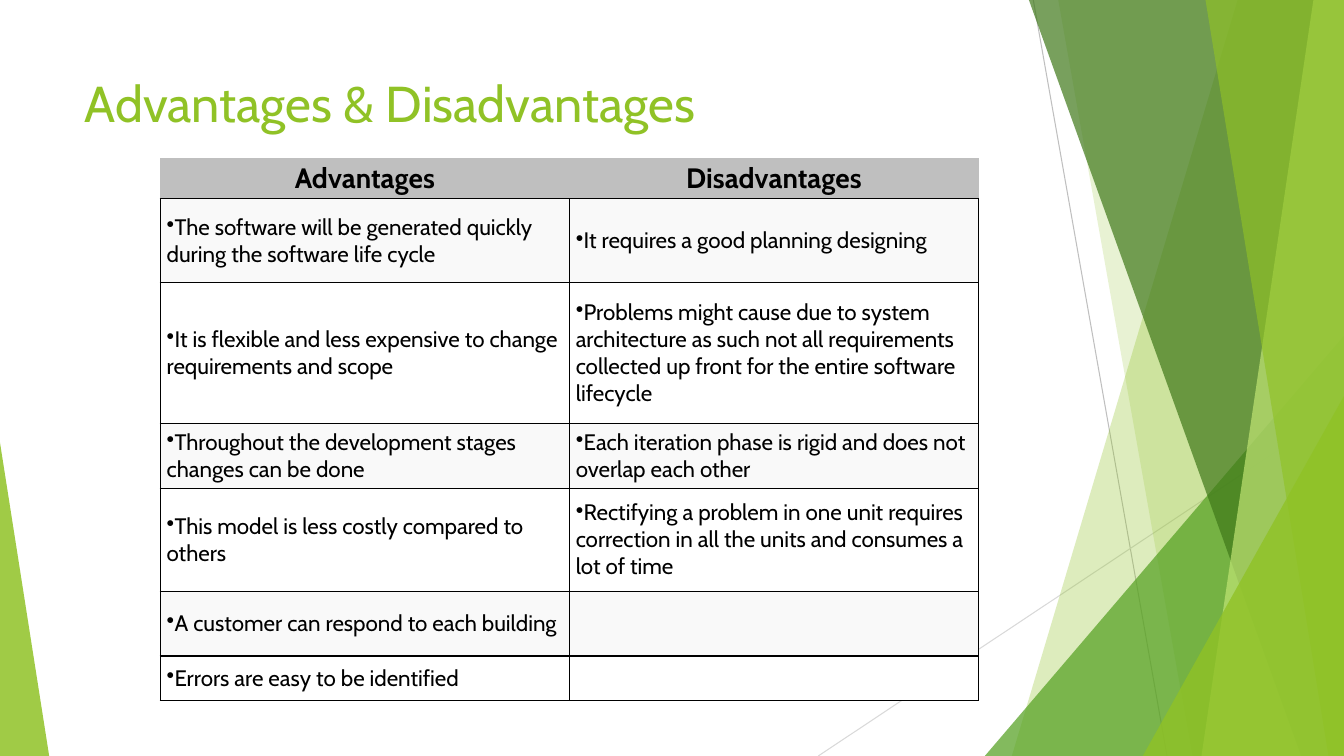
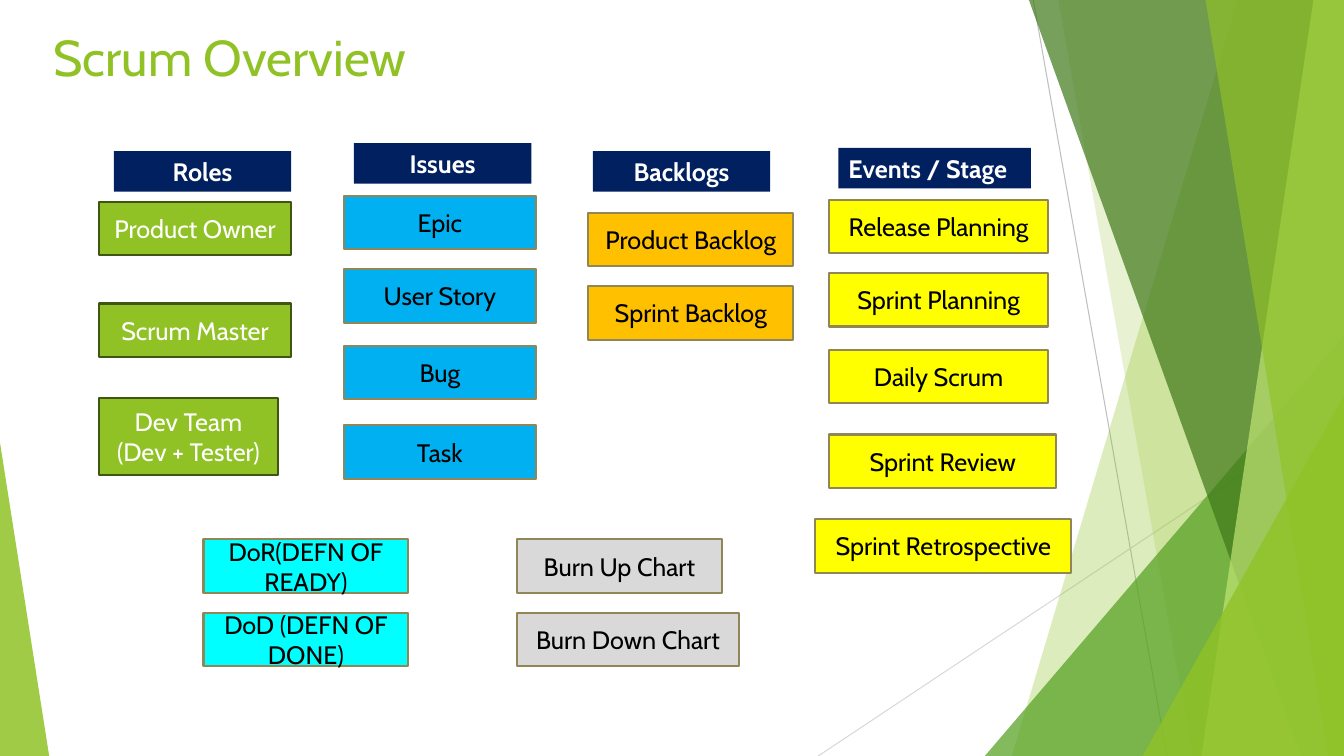
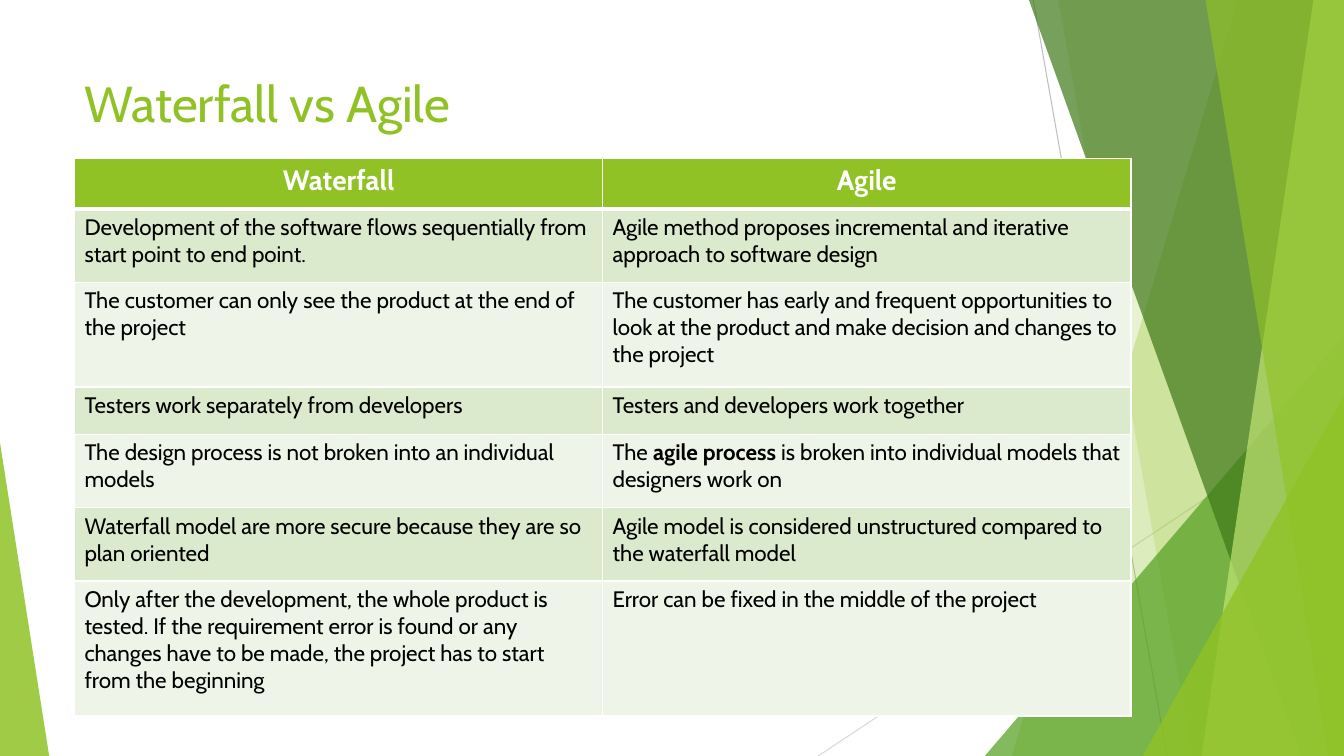
from dataclasses import dataclass

import lxml.etree
import pptx
import pptx.dml.color
import pptx.enum.shapes
import pptx.enum.text
import pptx.oxml
import pptx.oxml.ns
import pptx.presentation
import pptx.shapes.autoshape
import pptx.slide
import pptx.table
import pptx.text.text
import pptx.util

Cm = pptx.util.Cm
Pt = pptx.util.Pt
RGBColor = pptx.dml.color.RGBColor
Align = pptx.enum.text.PP_ALIGN
Anchor = pptx.enum.text.MSO_ANCHOR
Preset = pptx.enum.shapes.MSO_SHAPE

WIDTH, HEIGHT = 33.87, 19.05
FONT = "Cabin"
NO_GRID_STYLE = "{2D5ABB26-0587-4C30-8999-92F81FD0307C}"

WHITE = RGBColor(0xFF, 0xFF, 0xFF)
BLACK = RGBColor(0x00, 0x00, 0x00)
LIME = RGBColor(0x90, 0xC2, 0x26)
GREEN = RGBColor(0x54, 0xA0, 0x21)
FOREST = RGBColor(0x3F, 0x78, 0x19)
PALE_LIME = RGBColor(0xC0, 0xE4, 0x74)
OLIVE = RGBColor(0x3F, 0x55, 0x11)
KHAKI = RGBColor(0x91, 0x86, 0x55)
NAVY = RGBColor(0x00, 0x20, 0x60)
SKY = RGBColor(0x00, 0xB0, 0xF0)
AMBER = RGBColor(0xFF, 0xC0, 0x00)
YELLOW = RGBColor(0xFF, 0xFF, 0x00)
AQUA = RGBColor(0x00, 0xFF, 0xFF)
SILVER = RGBColor(0xBF, 0xBF, 0xBF)
LIGHT_GREY = RGBColor(0xD9, 0xD9, 0xD9)
OFF_WHITE = RGBColor(0xF9, 0xF9, 0xF9)
MINT = RGBColor(0xDB, 0xE9, 0xCD)
PALE_MINT = RGBColor(0xEE, 0xF4, 0xE8)


@dataclass(frozen=True)
class Ray:
    start: tuple[float, float]
    end: tuple[float, float]
    color: RGBColor


@dataclass(frozen=True)
class Band:
    top_left: float
    bottom_left: float
    color: RGBColor
    opacity: int

    def outline(self, slide: pptx.slide.Slide) -> pptx.shapes.autoshape.Shape:
        builder = slide.shapes.build_freeform(Cm(self.top_left), 0)
        corners = [(WIDTH, 0), (WIDTH, HEIGHT), (self.bottom_left, HEIGHT)]
        builder.add_line_segments([(Cm(x), Cm(y)) for x, y in corners])
        return builder.convert_to_shape()


@dataclass(frozen=True)
class Wedge:
    left: float
    top: float
    width: float
    apex: float
    color: RGBColor
    opacity: int

    def outline(self, slide: pptx.slide.Slide) -> pptx.shapes.autoshape.Shape:
        triangle = slide.shapes.add_shape(
            Preset.ISOSCELES_TRIANGLE,
            Cm(self.left), Cm(self.top), Cm(self.width), Cm(HEIGHT - self.top),
        )
        triangle.adjustments[0] = self.apex
        return triangle


@dataclass(frozen=True)
class Box:
    label: str
    left: float
    top: float
    width: float
    height: float = 1.35
    align: Align = Align.CENTER


@dataclass(frozen=True)
class Family:
    fill: RGBColor
    edge: RGBColor | None
    ink: RGBColor
    boxes: tuple[Box, ...]
    bold: bool = False


@dataclass(frozen=True)
class TableLook:
    header_fill: RGBColor
    header_ink: RGBColor
    stripes: tuple[RGBColor, RGBColor]
    border: RGBColor
    header_borders: str
    header_rule: float
    anchor: Anchor
    margins: tuple[float, float]
    bullet: str = ""


RAYS = (
    Ray((26.04, 0), (29.41, HEIGHT), SILVER),
    Ray((WIDTH, 10.24), (20.62, HEIGHT), LIGHT_GREY),
)
FACETS = (
    Band(31.19, 25.5, LIME, 30),
    Band(26.67, 30.05, LIME, 20),
    Wedge(24.82, 8.46, 9.05, 1, GREEN, 72),
    Band(25.93, 32.79, FOREST, 70),
    Band(33.1, 30.28, PALE_LIME, 70),
    Band(30.38, 33.48, LIME, 65),
    Wedge(28.8, 9.98, 5.07, 1, LIME, 80),
    Wedge(0, 11.15, 1.24, 0, LIME, 85),
)

SCRUM_FAMILIES = (
    Family(NAVY, None, WHITE, (
        Box("Roles", 2.87, 3.81, 4.47, 1.02),
        Box("Issues", 8.92, 3.61, 4.47, 1.02),
        Box("Backlogs", 14.94, 3.81, 4.47, 1.02),
        Box("Events / Stage", 21.13, 3.73, 4.85, 1.02, Align.LEFT),
    ), bold=True),
    Family(LIME, OLIVE, WHITE, (
        Box("Product Owner", 2.49, 5.08, 4.85),
        Box("Scrum Master", 2.49, 7.65, 4.85),
        Box("Dev Team (Dev + Tester)", 2.49, 10.03, 4.52, 1.93),
    )),
    Family(SKY, KHAKI, BLACK, (
        Box("Epic", 8.66, 4.93, 4.85),
        Box("User Story", 8.66, 6.78, 4.85),
        Box("Bug", 8.66, 8.71, 4.85),
        Box("Task", 8.66, 10.72, 4.85),
    )),
    Family(AMBER, KHAKI, BLACK, (
        Box("Product Backlog", 14.83, 5.36, 5.16),
        Box("Sprint Backlog", 14.83, 7.21, 5.16),
    )),
    Family(YELLOW, KHAKI, BLACK, (
        Box("Release Planning", 20.9, 5.03, 5.51),
        Box("Sprint Planning", 20.9, 6.88, 5.51),
        Box("Daily Scrum", 20.9, 8.81, 5.51),
        Box("Sprint Review", 20.9, 10.95, 5.72),
        Box("Sprint Retrospective", 20.55, 13.08, 6.45),
    )),
    Family(AQUA, KHAKI, BLACK, (
        Box("DoR(DEFN OF READY)", 5.13, 13.59, 5.16),
        Box("DoD (DEFN OF DONE)", 5.13, 15.44, 5.16),
    )),
    Family(LIGHT_GREY, KHAKI, BLACK, (
        Box("Burn Up Chart", 13.03, 13.59, 5.16),
        Box("Burn Down Chart", 13.03, 15.44, 5.59),
    )),
)

PROS_CONS_LOOK = TableLook(
    SILVER, BLACK, (OFF_WHITE, WHITE), BLACK, "B", 1, Anchor.MIDDLE, (0.16, 0.08), "•"
)
PROS_CONS = (
    ("Advantages", "Disadvantages"),
    ("The software will be generated quickly during the software life cycle",
     "It requires a good planning designing"),
    ("It is flexible and less expensive to change requirements and scope",
     "Problems might cause due to system architecture as such not all requirements "
     "collected up front for the entire software lifecycle"),
    ("Throughout the development stages changes can be done",
     "Each iteration phase is rigid and does not overlap each other"),
    ("This model is less costly compared to others",
     "Rectifying a problem in one unit requires correction in all the units "
     "and consumes a lot of time"),
    ("A customer can respond to each building", ""),
    ("Errors are easy to be identified", ""),
)

COMPARISON_LOOK = TableLook(
    LIME, WHITE, (MINT, PALE_MINT), WHITE, "LRTB", 3, Anchor.TOP, (0.25, 0.13)
)
COMPARISON = (
    ("Waterfall", "Agile"),
    ("Development of the software flows sequentially from start point to end point.",
     "Agile method proposes incremental and iterative approach to software design"),
    ("The customer can only see the product at the end of the project",
     "The customer has early and frequent opportunities to look at the product "
     "and make decision and changes to the project"),
    ("Testers work separately from developers",
     "Testers and developers work together"),
    ("The design process is not broken into an individual models",
     "The **agile process** is broken into individual models that designers work on"),
    ("Waterfall model are more secure because they are so plan oriented",
     "Agile model is considered unstructured compared to the waterfall model"),
    ("Only after the development, the whole product is tested. If the requirement error "
     "is found or any changes have to be made, the project has to start from the beginning",
     "Error can be fixed in the middle of the project"),
)


def write(
    paragraph: pptx.text.text._Paragraph, words: str, size: float, ink: RGBColor,
    align: Align = Align.LEFT, bold: bool = False,
) -> None:
    for index, part in enumerate(words.split("**")):
        if part:
            run = paragraph.add_run()
            run.text = part
            if index % 2:
                run.font.bold = True
    paragraph.alignment = align
    paragraph.font.name = FONT
    paragraph.font.size = Pt(size)
    paragraph.font.bold = bold
    paragraph.font.color.rgb = ink


def draw_backdrop(slide: pptx.slide.Slide) -> None:
    for ray in RAYS:
        line = slide.shapes.add_connector(
            pptx.enum.shapes.MSO_CONNECTOR.STRAIGHT,
            *(Cm(value) for value in ray.start + ray.end),
        )
        line.line.color.rgb = ray.color
        line.line.width = Pt(0.75)
        lxml.etree.SubElement(line.element.spPr, pptx.oxml.ns.qn("a:effectLst"))
    for facet in FACETS:
        outline = facet.outline(slide)
        outline.shadow.inherit = False
        outline.line.fill.background()
        outline.fill.solid()
        outline.fill.fore_color.rgb = facet.color
        color = outline.element.spPr.find(".//" + pptx.oxml.ns.qn("a:srgbClr"))
        alpha = lxml.etree.SubElement(color, pptx.oxml.ns.qn("a:alpha"))
        alpha.set("val", str(facet.opacity * 1000))


def prepare_layout(deck: pptx.presentation.Presentation) -> pptx.slide.SlideLayout:
    layout = deck.slide_layouts[5]
    for placeholder in list(layout.placeholders):
        if placeholder.placeholder_format.type != pptx.enum.shapes.PP_PLACEHOLDER.TITLE:
            layout.shapes.element.remove(placeholder.element)
    return layout


def share_backdrop(slide: pptx.slide.Slide) -> None:
    draw_backdrop(slide)
    drawn = [shape for shape in slide.shapes if not shape.is_placeholder]
    for depth, shape in enumerate(drawn, start=2):
        slide.slide_layout.shapes.element.insert(depth, shape.element)


def set_title(
    slide: pptx.slide.Slide, words: str,
    left: float = 1.88, top: float = 1.7, height: float = 2.29,
) -> None:
    title = slide.shapes.title
    title.left, title.top = Cm(left), Cm(top)
    title.width, title.height = Cm(23.88), Cm(height)
    title.text_frame.auto_size = pptx.enum.text.MSO_AUTO_SIZE.NONE
    title.text_frame.vertical_anchor = Anchor.TOP
    write(title.text_frame.paragraphs[0], words, 36, LIME)


def draw_family(slide: pptx.slide.Slide, family: Family) -> None:
    for box in family.boxes:
        card = slide.shapes.add_shape(
            Preset.RECTANGLE, Cm(box.left), Cm(box.top), Cm(box.width), Cm(box.height)
        )
        card.shadow.inherit = False
        card.fill.solid()
        card.fill.fore_color.rgb = family.fill
        if family.edge is None:
            card.line.fill.background()
        else:
            card.line.color.rgb = family.edge
            card.line.width = Pt(1.5)
        card.text_frame.word_wrap = True
        card.text_frame.vertical_anchor = Anchor.MIDDLE
        write(card.text_frame.paragraphs[0], box.label, 18, family.ink, box.align, family.bold)


def set_borders(
    cell: pptx.table._Cell, sides: str, color: RGBColor, bottom_width: float
) -> None:
    properties = cell._tc.get_or_add_tcPr()
    for position, side in enumerate(sides):
        width = Pt(bottom_width if side == "B" else 1)
        properties.insert(position, pptx.oxml.parse_xml(
            f'<a:ln{side} {pptx.oxml.ns.nsdecls("a")} w="{width}">'
            f'<a:solidFill><a:srgbClr val="{color}"/></a:solidFill></a:ln{side}>'
        ))


def fill_cell(cell: pptx.table._Cell, words: str, row: int, look: TableLook) -> None:
    header = row == 0
    cell.margin_left = cell.margin_right = Cm(look.margins[0])
    cell.margin_top = cell.margin_bottom = Cm(look.margins[1])
    cell.vertical_anchor = look.anchor
    cell.fill.solid()
    cell.fill.fore_color.rgb = look.header_fill if header else look.stripes[(row - 1) % 2]
    paragraph = cell.text_frame.paragraphs[0]
    if header:
        write(paragraph, words, 20, look.header_ink, Align.CENTER, True)
        set_borders(cell, look.header_borders, look.border, look.header_rule)
        return
    write(paragraph, words, 16, BLACK)
    set_borders(cell, "LRB", look.border, 1)
    if look.bullet and words:
        properties = paragraph._p.get_or_add_pPr()
        properties.insert(0, pptx.oxml.parse_xml(
            f'<a:buChar {pptx.oxml.ns.nsdecls("a")} char="{look.bullet}"/>'
        ))


def draw_table(
    slide: pptx.slide.Slide, rows: tuple[tuple[str, str], ...], look: TableLook,
    left: float, column_width: float, row_heights: tuple[float, ...],
) -> None:
    frame = slide.shapes.add_table(
        len(rows), len(rows[0]), Cm(left), Cm(3.99),
        Cm(column_width * len(rows[0])), Cm(sum(row_heights)),
    )
    frame.element.xpath(".//a:tableStyleId")[0].text = NO_GRID_STYLE
    for column in frame.table.columns:
        column.width = Cm(column_width)
    for row, (height, texts) in enumerate(zip(row_heights, rows)):
        frame.table.rows[row].height = Cm(height)
        for column, words in enumerate(texts):
            fill_cell(frame.table.cell(row, column), words, row, look)


def main() -> None:
    deck = pptx.Presentation()
    deck.slide_width, deck.slide_height = Cm(WIDTH), Cm(HEIGHT)
    layout = prepare_layout(deck)
    pros_cons, scrum, comparison = (deck.slides.add_slide(layout) for _ in range(3))
    share_backdrop(pros_cons)

    set_title(pros_cons, "Advantages & Disadvantages")
    draw_table(pros_cons, PROS_CONS, PROS_CONS_LOOK, 4.04, 10.31,
               (1.02, 2.11, 3.56, 1.63, 2.59, 1.63, 1.13))

    set_title(scrum, "Scrum Overview", 1.09, 0.53, 2.11)
    for family in SCRUM_FAMILIES:
        draw_family(scrum, family)

    set_title(comparison, "Waterfall vs Agile")
    draw_table(comparison, COMPARISON, COMPARISON_LOOK, 1.88, 13.31,
               (1.27, 1.85, 2.64, 1.19, 1.85, 1.85, 3.4))

    deck.save("out.pptx")


if __name__ == "__main__":
    main()
